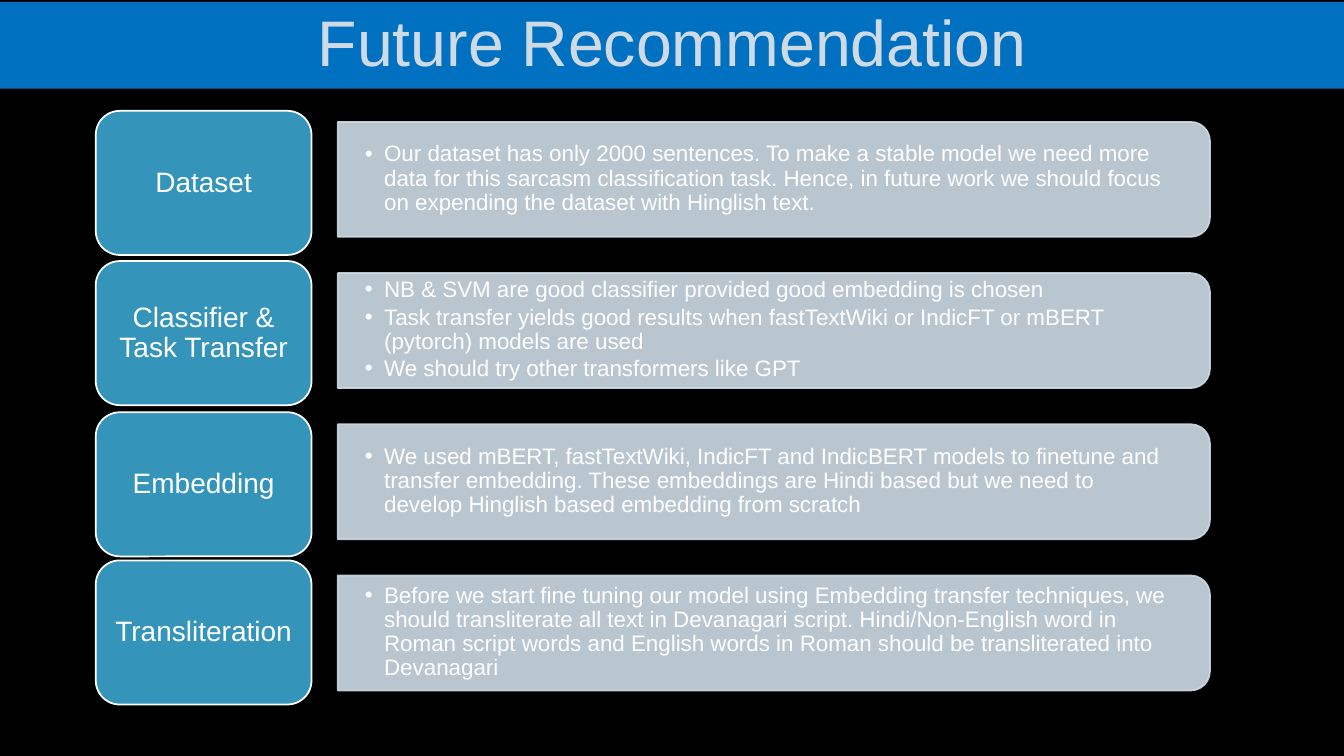
from lxml import etree
from pptx import Presentation
from pptx.dml.color import RGBColor
from pptx.enum.shapes import MSO_SHAPE as SHAPE
from pptx.enum.text import MSO_ANCHOR as ANCHOR, PP_ALIGN as ALIGN
from pptx.oxml.ns import qn
from pptx.util import Inches, Pt

BLACK = RGBColor(0x00, 0x00, 0x00)
WHITE = RGBColor(0xFF, 0xFF, 0xFF)
BLUE = RGBColor(0x00, 0x70, 0xC0)
TEAL = RGBColor(0x34, 0x94, 0xBA)
PALE = RGBColor(0xCE, 0xDC, 0xE7)
TITLE_GREY = RGBColor(0xCE, 0xDB, 0xE6)

ROW_PITCH = 1.5
FIRST_CENTRE = 1.78
BAR_LEFT, BAR_W, BAR_H = 3.35, 8.65, 1.14

# Label, top of its box, bullets
ROWS = [
    ("Dataset", 1.1, [
        "Our dataset has only 2000 sentences. To make a stable model we need more "
        "data for this sarcasm classification task. Hence, in future work we should "
        "focus on expending the dataset with Hinglish text."]),
    ("Classifier & Task Transfer", 2.59, [
        "NB & SVM are good classifier provided good embedding is chosen",
        "Task transfer yields good results when fastTextWiki or IndicFT or mBERT "
        "(pytorch) models are used",
        "We should try other transformers like GPT"]),
    ("Embedding", 4.09, [
        "We used mBERT, fastTextWiki, IndicFT and IndicBERT models to finetune and "
        "transfer embedding. These embeddings are Hindi based but we need to develop "
        "Hinglish based embedding from scratch"]),
    ("Transliteration", 5.56, [
        "Before we start fine tuning our model using Embedding transfer techniques, "
        "we should transliterate all text in Devanagari script. Hindi/Non-English "
        "word in Roman script words and English words in Roman should be "
        "transliterated into Devanagari"]),
]


class Deck:
    font = "Arial"

    def __init__(self, width, height):
        self.prs = Presentation()
        self.prs.slide_width, self.prs.slide_height = Inches(width), Inches(height)
        self.s = self.prs.slides.add_slide(self.prs.slide_layouts[6])
        fill = self.s.background.fill
        fill.solid()
        fill.fore_color.rgb = BLACK

    def shape(self, kind, box, color, line=None, alpha=None):
        sp = self.s.shapes.add_shape(kind, *map(Inches, box))
        sp.shadow.inherit = False
        sp.fill.solid()
        sp.fill.fore_color.rgb = color
        if line is None:
            sp.line.fill.background()
        else:
            sp.line.color.rgb = line
            sp.line.width = Pt(1.25)
        if alpha is not None:
            for clr in sp._element.spPr.iter(qn("a:srgbClr")):
                etree.SubElement(clr, qn("a:alpha"), val=str(alpha * 1000))
        return sp

    def textbox(self, box, insets):
        tf = self.s.shapes.add_textbox(*map(Inches, box)).text_frame
        tf.margin_left = tf.margin_right = Inches(insets[0])
        tf.margin_top = tf.margin_bottom = Inches(insets[1])
        return tf

    def add_text(self, tf, lines, size, color=WHITE, align=ALIGN.CENTER, bullet=False):
        tf.word_wrap = True
        tf.vertical_anchor = ANCHOR.MIDDLE
        for i, line in enumerate(lines):
            p = tf.add_paragraph() if i else tf.paragraphs[0]
            if bullet:
                self.bullet(p)
            p.alignment = align
            p.line_spacing = 0.9
            r = p.add_run()
            r.text = line
            r.font.name, r.font.size = self.font, Pt(size)
            r.font.color.rgb = color

    def bullet(self, p):
        pPr = p._p.get_or_add_pPr()
        pPr.set("marL", str(Inches(0.19)))
        pPr.set("indent", str(-Inches(0.19)))
        etree.SubElement(pPr, qn("a:buFont"), typeface=self.font)
        etree.SubElement(pPr, qn("a:buChar"), char="•")
        p.level = 1
        p.space_after = Pt(2.4)

    def title(self, text):
        sp = self.shape(SHAPE.RECTANGLE, (0, 0.02, 13.33, 0.86), BLUE)
        self.add_text(sp.text_frame, [text], 46, TITLE_GREY)

    def bar(self, centre, bullets):
        # Upright shape turned a quarter, so its rounded end points right
        box = (BAR_LEFT + (BAR_W - BAR_H) / 2, centre - BAR_W / 2, BAR_H, BAR_W)
        sp = self.shape(SHAPE.ROUND_2_SAME_RECTANGLE, box, PALE, PALE, alpha=90)
        sp.rotation = 90
        tf = self.textbox((BAR_LEFT, centre - 0.52, 8.6, 1.03), (0.27, 0.14))
        self.add_text(tf, bullets, 16, align=ALIGN.LEFT, bullet=True)

    def label(self, top, text):
        self.shape(SHAPE.ROUNDED_RECTANGLE, (0.95, top, 2.14, 1.43), TEAL, WHITE)
        tf = self.textbox((1.02, top + 0.07, 2, 1.29), (0.08, 0.04))
        self.add_text(tf, [text], 20)


def main():
    deck = Deck(13.33, 7.5)
    deck.title("Future Recommendation")
    for i, (name, top, bullets) in enumerate(ROWS):
        deck.bar(FIRST_CENTRE + i * ROW_PITCH, bullets)
        deck.label(top, name)
    deck.prs.save("out.pptx")


if __name__ == "__main__":
    main()
